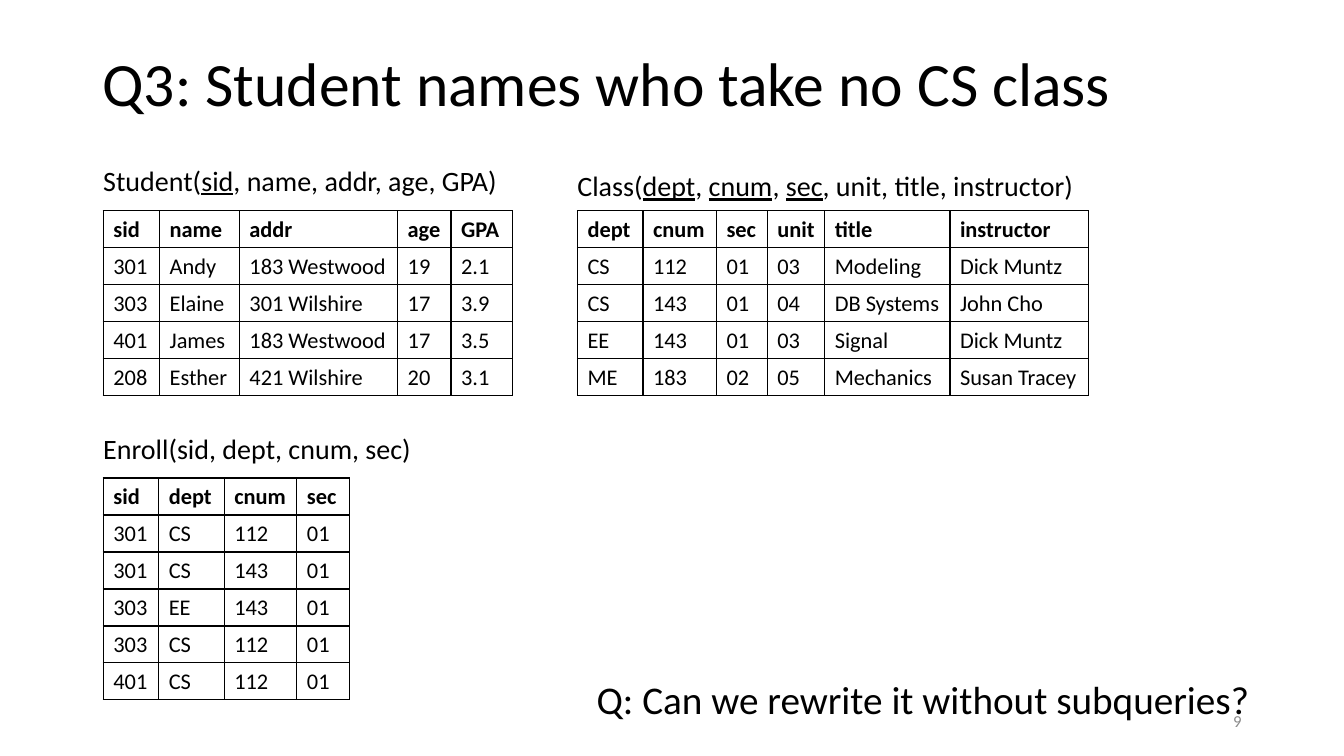
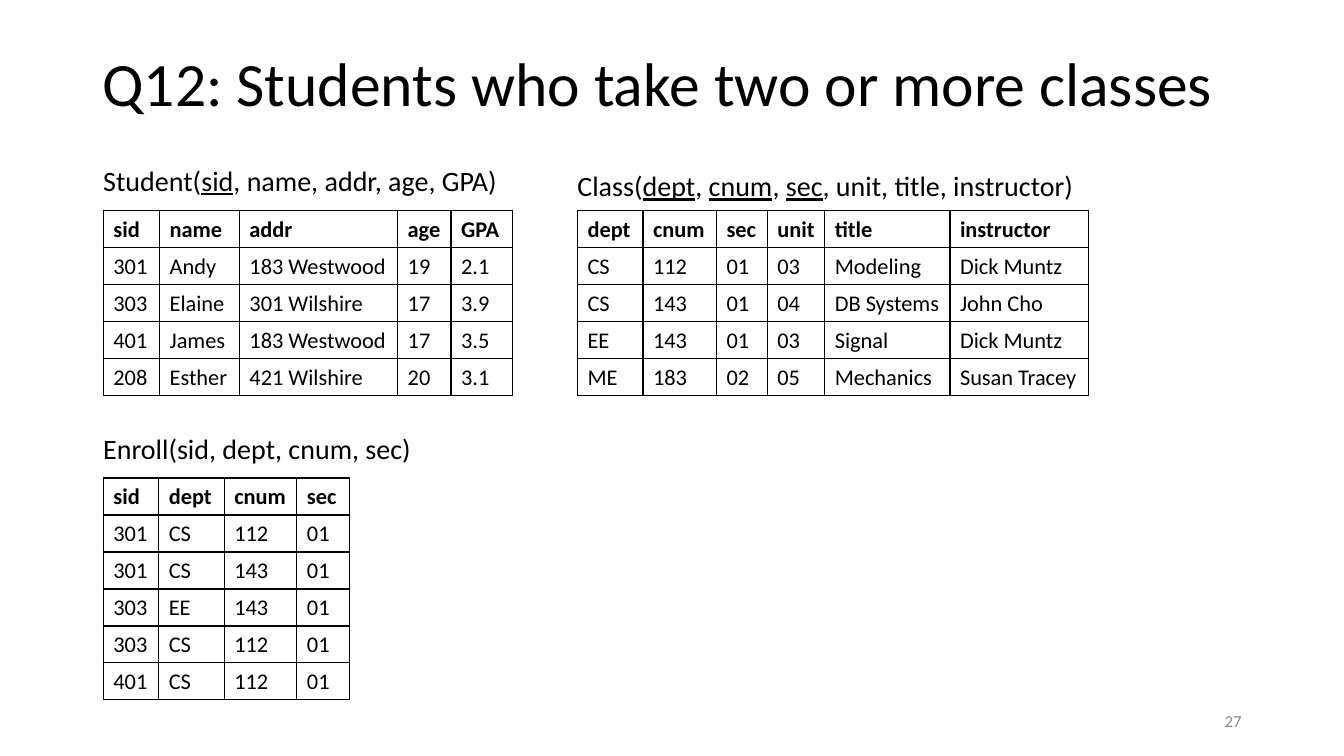
from dataclasses import dataclass

from lxml import etree
from pptx import Presentation
from pptx.dml.color import RGBColor
from pptx.enum.text import MSO_ANCHOR, MSO_AUTO_SIZE, PP_ALIGN
from pptx.oxml.ns import qn
from pptx.util import Inches, Pt

MIDDLE = MSO_ANCHOR.MIDDLE
TOP = MSO_ANCHOR.TOP
LEFT = PP_ALIGN.LEFT
RIGHT = PP_ALIGN.RIGHT
NO_FIT = MSO_AUTO_SIZE.NONE
TITLE_ONLY = 5
SLIDE_WIDTH = Inches(13.33)
SLIDE_HEIGHT = Inches(7.5)
GRID_COLUMNS = 160
GRID_ROWS = 90


@dataclass(frozen=True)
class Theme:
    font: str = "Calibri"
    ink: str = "000000"
    muted: str = "8C8C8C"
    title_size: int = 44
    question_size: int = 28
    heading_size: int = 20
    cell_size: int = 16
    number_size: int = 12
    border: float = 1
    row_height: float = 4.4
    heading_height: float = 5.2
    inset: float = 1.2


@dataclass(frozen=True)
class Box:
    left: float
    top: float
    width: float
    height: float

    def lengths(self):
        return (across(self.left), down(self.top),
                across(self.width), down(self.height))


@dataclass(frozen=True)
class Relation:
    name: str
    keys: tuple
    columns: dict
    rows: tuple


THEME = Theme()
TITLE_BOX = Box(11, 4.8, 138, 10.9)
QUESTION_BOX = Box(69.85, 79.8, 80.9, 6.85)
NUMBER_BOX = Box(113, 83.4, 36, 4.8)

STUDENT = Relation(
    "Student", ("sid",),
    {"sid": 6.7, "name": 9.5, "addr": 18.85, "age": 6.35, "GPA": 7.35},
    (
        ("301", "Andy", "183 Westwood", "19", "2.1"),
        ("303", "Elaine", "301 Wilshire", "17", "3.9"),
        ("401", "James", "183 Westwood", "17", "3.5"),
        ("208", "Esther", "421 Wilshire", "20", "3.1"),
    ),
)
CLASS = Relation(
    "Class", ("dept", "cnum", "sec"),
    {"dept": 7.8, "cnum": 8.75, "sec": 6.05, "unit": 6.85,
     "title": 14.9, "instructor": 16.45},
    (
        ("CS", "112", "01", "03", "Modeling", "Dick Muntz"),
        ("CS", "143", "01", "04", "DB Systems", "John Cho"),
        ("EE", "143", "01", "03", "Signal", "Dick Muntz"),
        ("ME", "183", "02", "05", "Mechanics", "Susan Tracey"),
    ),
)
ENROLL = Relation(
    "Enroll", (),
    {"sid": 6.6, "dept": 7.8, "cnum": 8.65, "sec": 6.25},
    (
        ("301", "CS", "112", "01"),
        ("301", "CS", "143", "01"),
        ("303", "EE", "143", "01"),
        ("303", "CS", "112", "01"),
        ("401", "CS", "112", "01"),
    ),
)
PANELS = (
    (STUDENT, Box(11.1, 18.85, 50, 28.25)),
    (CLASS, Box(67.55, 19.45, 72.1, 27.65)),
    (ENROLL, Box(11.1, 50.8, 48.2, 32.5)),
)


def across(columns):
    return round(SLIDE_WIDTH * columns / GRID_COLUMNS)


def down(rows):
    return round(SLIDE_HEIGHT * rows / GRID_ROWS)


def style(para, size, color=THEME.ink, bold=False, align=LEFT):
    para.alignment = align
    para.font.name = THEME.font
    para.font.size = Pt(size)
    para.font.bold = bold
    para.font.color.rgb = RGBColor.from_string(color)


def add_text(page, box, spans, size, color=THEME.ink, align=LEFT, anchor=TOP):
    frame = page.shapes.add_textbox(*box.lengths()).text_frame
    frame.word_wrap = True
    frame.vertical_anchor = anchor
    para = frame.paragraphs[0]
    for text, underlined in spans:
        span = para.add_run()
        span.text = text
        if underlined:
            span.font.underline = True
    style(para, size, color, align=align)


def add_title(page, text):
    title = page.shapes.title
    title.left, title.top, title.width, title.height = TITLE_BOX.lengths()
    frame = title.text_frame
    frame.text = text
    frame.word_wrap = True
    frame.auto_size = NO_FIT
    frame.vertical_anchor = MIDDLE
    para = frame.paragraphs[0]
    para.line_spacing = 0.9
    style(para, THEME.title_size)


def heading_spans(relation):
    spans = [(relation.name + "(", False)]
    for index, column in enumerate(relation.columns):
        if index:
            spans.append((", ", False))
        spans.append((column, column in relation.keys))
    return spans + [(")", False)]


def draw_borders(cell):
    properties = cell._tc.get_or_add_tcPr()
    for index, side in enumerate(("lnL", "lnR", "lnT", "lnB")):
        line = etree.Element(qn("a:" + side), w=str(Pt(THEME.border)))
        fill = etree.SubElement(line, qn("a:solidFill"))
        etree.SubElement(fill, qn("a:srgbClr"), val=THEME.ink)
        properties.insert(index, line)


def add_relation_table(page, relation, box):
    lines = (tuple(relation.columns),) + relation.rows
    table = page.shapes.add_table(
        len(lines), len(relation.columns), *box.lengths()).table
    table.first_row = False
    table.horz_banding = False
    for column, width in zip(table.columns, relation.columns.values()):
        column.width = across(width)
    for row_index, values in enumerate(lines):
        table.rows[row_index].height = down(THEME.row_height)
        for column_index, value in enumerate(values):
            cell = table.cell(row_index, column_index)
            cell.text = value
            cell.fill.background()
            style(cell.text_frame.paragraphs[0], THEME.cell_size,
                  bold=row_index == 0)
            draw_borders(cell)


def add_relation_panel(page, relation, box):
    heading_box = Box(box.left, box.top, box.width, THEME.heading_height)
    add_text(page, heading_box, heading_spans(relation), THEME.heading_size)
    height = THEME.row_height * (len(relation.rows) + 1)
    table_box = Box(box.left + THEME.inset, box.top + box.height - height,
                    sum(relation.columns.values()), height)
    add_relation_table(page, relation, table_box)


def add_query_page(deck, title, number, question=None):
    page = deck.slides.add_slide(deck.slide_layouts[TITLE_ONLY])
    add_title(page, title)
    for relation, box in PANELS:
        add_relation_panel(page, relation, box)
    if question:
        add_text(page, QUESTION_BOX, [(question, False)], THEME.question_size)
    add_text(page, NUMBER_BOX, [(str(number), False)], THEME.number_size,
             THEME.muted, RIGHT, MIDDLE)


def main():
    deck = Presentation()
    deck.slide_width = SLIDE_WIDTH
    deck.slide_height = SLIDE_HEIGHT
    add_query_page(deck, "Q3: Student names who take no CS class", 9,
                   "Q: Can we rewrite it without subqueries?")
    add_query_page(deck, "Q12: Students who take two or more classes", 27)
    deck.save("out.pptx")


if __name__ == "__main__":
    main()
